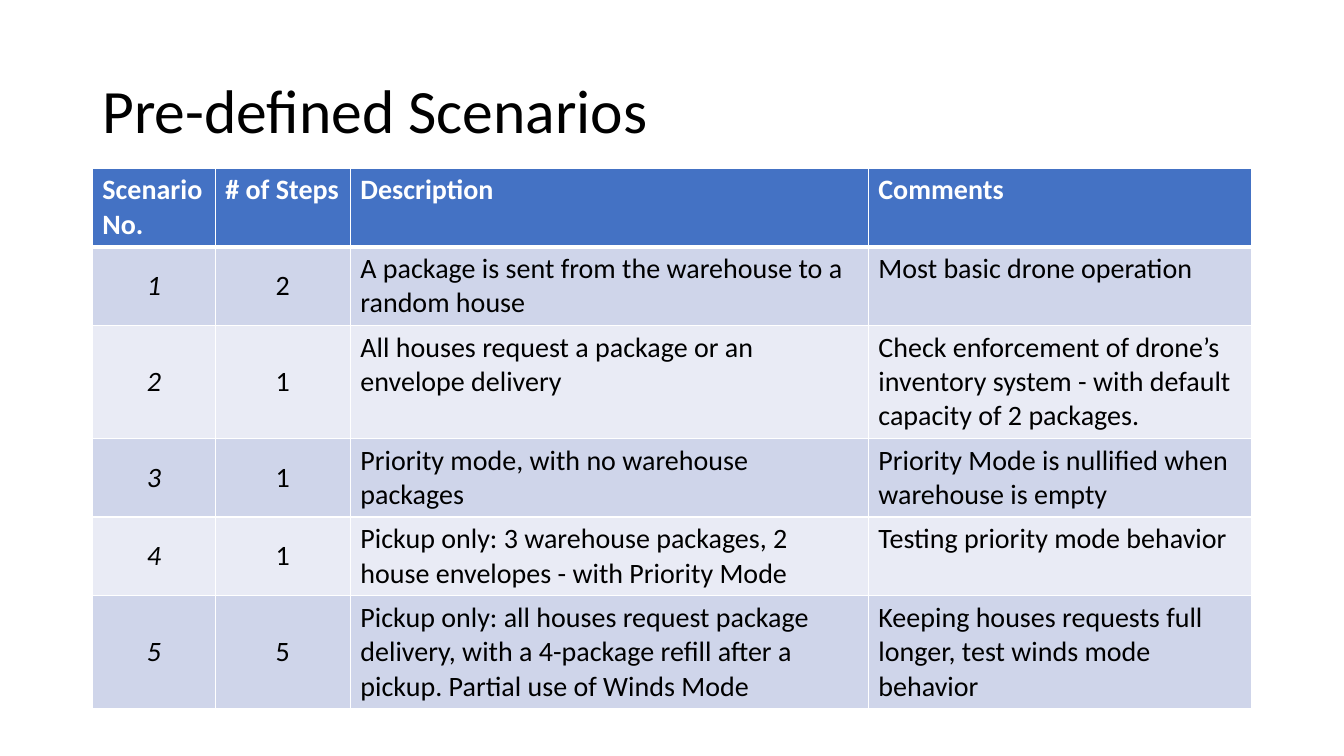
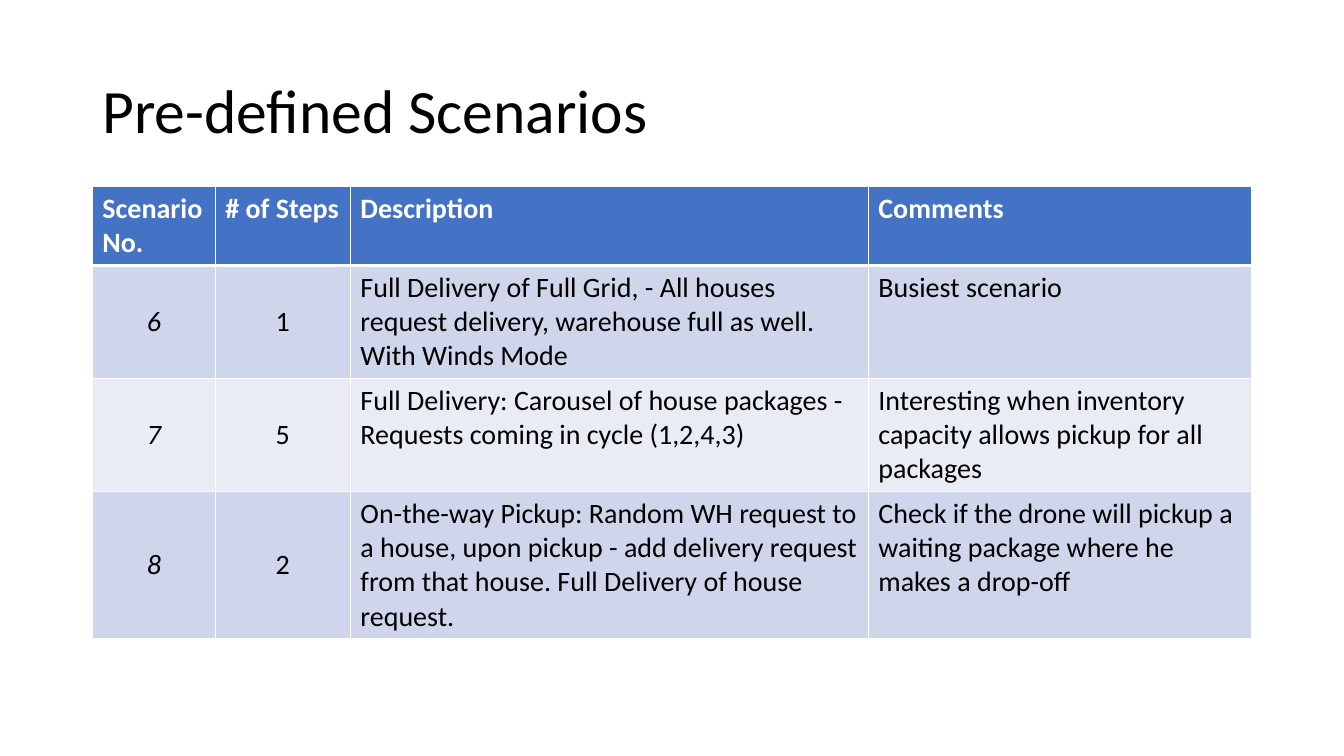
from dataclasses import dataclass

from lxml import etree
from pptx import Presentation
from pptx.dml.color import RGBColor
from pptx.enum.text import MSO_ANCHOR, MSO_AUTO_SIZE, PP_ALIGN
from pptx.oxml.ns import qn
from pptx.util import Pt

LEFT, CENTER = PP_ALIGN.LEFT, PP_ALIGN.CENTER
TOP, MIDDLE = MSO_ANCHOR.TOP, MSO_ANCHOR.MIDDLE
NO_AUTOFIT = MSO_AUTO_SIZE.NONE
TITLE_ONLY = 5


@dataclass(frozen=True)
class Theme:
    """Colours, type and line sizes shared by all slides."""

    font: str = "Calibri"
    title_size: float = 44
    table_size: float = 20
    line_height: float = 24.4
    cell_padding: float = 7.2
    text: str = "000000"
    white: str = "FFFFFF"
    header: str = "4472C4"
    bands: tuple = ("CFD5EA", "E9EBF5")
    thin: float = 1
    thick: float = 3


THEME = Theme()
SLIDE_SIZE = (960, 540)
TITLE_BOX = (66, 29, 828, 104.4)
TABLE_LEFT = 66
COLUMN_WIDTHS = (87.8, 96.5, 370, 273.7)
HEADINGS = (2, "Scenario No.", "# of Steps", "Description", "Comments")
TITLE = "Pre-defined Scenarios"

FIRST_SCENARIOS = [
    (2, "1", "2", "A package is sent from the warehouse to a random house",
     "Most basic drone operation"),
    (3, "2", "1", "All houses request a package or an envelope delivery",
     "Check enforcement of drone’s inventory system - with default capacity of 2 packages."),
    (2, "3", "1", "Priority mode, with no warehouse packages",
     "Priority Mode is nullified when warehouse is empty"),
    (2, "4", "1", "Pickup only: 3 warehouse packages, 2 house envelopes - with Priority Mode",
     "Testing priority mode behavior"),
    (3, "5", "5", "Pickup only: all houses request package delivery, with a 4-package "
     "refill after a pickup. Partial use of Winds Mode",
     "Keeping houses requests full longer, test winds mode behavior"),
]
LAST_SCENARIOS = [
    (3, "6", "1", "Full Delivery of Full Grid, - All houses request delivery, "
     "warehouse full as well. With Winds Mode", "Busiest scenario"),
    (3, "7", "5", "Full Delivery: Carousel of house packages - Requests coming in cycle (1,2,4,3)",
     "Interesting when inventory capacity allows pickup for all packages"),
    (4, "8", "2", "On-the-way Pickup: Random WH request to a house, upon pickup - add delivery "
     "request from that house. Full Delivery of house request.",
     "Check if the drone will pickup a waiting package where he makes a drop-off"),
]


def apply(target, values):
    """Set each attribute named in values on the target."""
    for name, value in values.items():
        setattr(target, name, value)


def write_text(frame, text, size, color, align=LEFT, spacing=1.0, **font_values):
    """Fill a text frame with one formatted paragraph."""
    paragraph = frame.paragraphs[0]
    apply(paragraph, {"alignment": align, "line_spacing": spacing})
    run = paragraph.add_run()
    run.text = text
    apply(run.font, {"name": THEME.font, "size": Pt(size), **font_values})
    run.font.color.rgb = RGBColor.from_string(color)


def add_title(slide, box, text):
    """Place and format the slide title in the given box."""
    shape = slide.shapes.title
    apply(shape, dict(zip(("left", "top", "width", "height"), map(Pt, box))))
    apply(shape.text_frame, {"word_wrap": True, "auto_size": NO_AUTOFIT,
                             "vertical_anchor": MIDDLE})
    write_text(shape.text_frame, text, THEME.title_size, THEME.text, spacing=0.9)


def add_borders(cell, top, bottom):
    """Draw white cell borders with the given top and bottom widths."""
    properties = cell._tc.get_or_add_tcPr()
    widths = {"a:lnL": THEME.thin, "a:lnR": THEME.thin, "a:lnT": top, "a:lnB": bottom}
    for tag, width in widths.items():
        line = etree.SubElement(properties, qn(tag), w=str(Pt(width)))
        fill = etree.SubElement(line, qn("a:solidFill"))
        etree.SubElement(fill, qn("a:srgbClr"), val=THEME.white)


def format_cell(cell, text, row, column):
    """Write one cell with the style of its row and column."""
    is_header = row == 0
    is_number = not is_header and column < 2
    add_borders(cell, THEME.thick if row == 1 else THEME.thin,
                THEME.thick if is_header else THEME.thin)
    cell.fill.solid()
    color = THEME.header if is_header else THEME.bands[(row - 1) % 2]
    cell.fill.fore_color.rgb = RGBColor.from_string(color)
    cell.vertical_anchor = MIDDLE if is_number else TOP
    write_text(cell.text_frame, text, THEME.table_size,
               THEME.white if is_header else THEME.text,
               align=CENTER if is_number else LEFT,
               bold=is_header, italic=is_number and column == 0)


def add_scenario_table(slide, left, top, scenarios):
    """Place the scenario table, each row as tall as its line count."""
    rows = [HEADINGS, *scenarios]
    heights = [lines * THEME.line_height + THEME.cell_padding for lines, *_ in rows]
    table = slide.shapes.add_table(
        len(rows), len(COLUMN_WIDTHS), Pt(left), Pt(top),
        Pt(sum(COLUMN_WIDTHS)), Pt(sum(heights))).table
    for column, width in zip(table.columns, COLUMN_WIDTHS):
        column.width = Pt(width)
    for row_index, (_, *texts) in enumerate(rows):
        table.rows[row_index].height = Pt(heights[row_index])
        for column_index, text in enumerate(texts):
            format_cell(table.cell(row_index, column_index), text, row_index, column_index)


def add_scenario_slide(presentation, table_top, scenarios):
    """Add a slide with the shared title and a scenario table."""
    slide = presentation.slides.add_slide(presentation.slide_layouts[TITLE_ONLY])
    add_title(slide, TITLE_BOX, TITLE)
    add_scenario_table(slide, TABLE_LEFT, table_top, scenarios)


def main():
    """Build and save the presentation."""
    presentation = Presentation()
    apply(presentation, dict(zip(("slide_width", "slide_height"), map(Pt, SLIDE_SIZE))))
    add_scenario_slide(presentation, 120, FIRST_SCENARIOS)
    add_scenario_slide(presentation, 133.4, LAST_SCENARIOS)
    presentation.save("out.pptx")


main()
